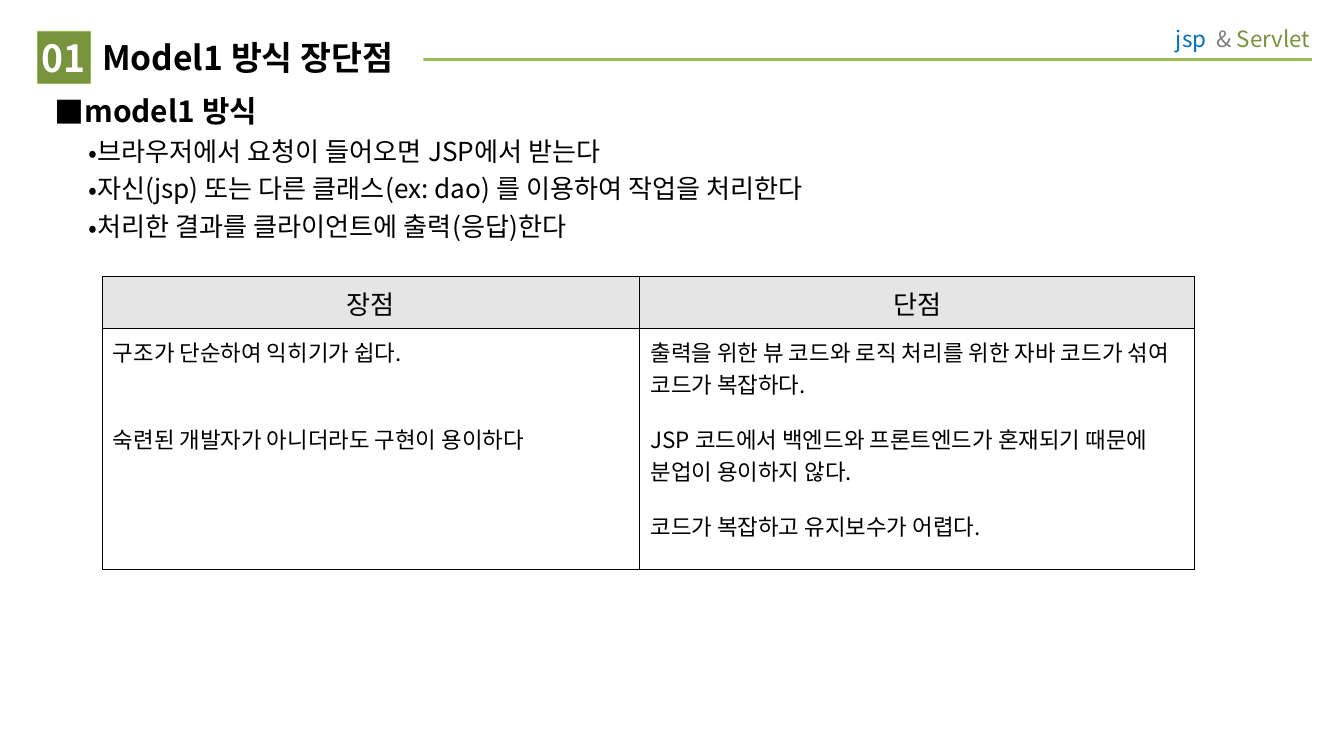
import pptx
import pptx.util
import pptx.dml.color
import pptx.enum.shapes
import pptx.enum.text
import pptx.oxml
import pptx.oxml.ns
from lxml import etree

Inches, Pt = pptx.util.Inches, pptx.util.Pt
RGB = pptx.dml.color.RGBColor
ALIGN = pptx.enum.text.PP_ALIGN
ANCHOR = pptx.enum.text.MSO_ANCHOR
qn = pptx.oxml.ns.qn

# Content; \v is a line break
TITLE = "Model1 방식 장단점"
NUMBER = "01"
HEAD = "model1 방식"
POINTS = [
    "브라우저에서 요청이 들어오면 JSP에서 받는다",
    "자신(jsp) 또는 다른 클래스(ex: dao) 를 이용하여 작업을 처리한다",
    "처리한 결과를 클라이언트에 출력(응답)한다",
]
COLS = [
    ("장점", 4, ["구조가 단순하여 익히기가 쉽다.\v",
               "숙련된 개발자가 아니더라도 구현이 용이하다"]),
    ("단점", 4.13, ["출력을 위한 뷰 코드와 로직 처리를 위한 자바 코드가 섞여 코드가 복잡하다.",
                  "JSP 코드에서 백엔드와 프론트엔드가 혼재되기 때문에 분업이 용이하지 않다.",
                  "코드가 복잡하고 유지보수가 어렵다."]),
]
ROWS = [0.3, 1.79]

# Look
FONT = "Noto Sans CJK KR"
BLACK, WHITE = RGB(0, 0, 0), RGB(255, 255, 255)
GREEN, LIME = RGB(0x77, 0x93, 0x3C), RGB(0x9B, 0xBB, 0x59)
BLUE, GRAY, PALE = RGB(0, 0x70, 0xC0), RGB(0x7F, 0x7F, 0x7F), RGB(0xE5, 0xE5, 0xE5)
TAG = [("jsp  ", BLUE), ("& ", GRAY), ("Servlet", GREEN)]


def style(run, size, color=BLACK, bold=False):
    font = run.font
    font.name, font.size, font.bold = FONT, Pt(size), bold
    font.color.rgb = color
    props = run._r.get_or_add_rPr()
    props.set("kern", "0")
    etree.SubElement(props, qn("a:ea"), typeface=FONT)


def write(para, text, size, color=BLACK, bold=False, align=ALIGN.LEFT):
    para.text = text
    para.alignment = align
    style(para.runs[0], size, color, bold)
    # A break and the empty line after it need the size too
    for node in para._p.findall(qn("a:br")):
        for owner, name in ((node, "a:rPr"), (para._p, "a:endParaRPr")):
            props = etree.SubElement(owner, qn(name), sz=str(size * 100))
            for script in ("a:latin", "a:ea"):
                etree.SubElement(props, qn(script), typeface=FONT)


def setup(frame, left, top, right, bottom, anchor=ANCHOR.TOP):
    frame.word_wrap = True
    frame.auto_size = pptx.enum.text.MSO_AUTO_SIZE.NONE
    frame.vertical_anchor = anchor
    frame.margin_left, frame.margin_top = Inches(left), Inches(top)
    frame.margin_right, frame.margin_bottom = Inches(right), Inches(bottom)


def bullet(para, char, left, hang):
    props = para._p.get_or_add_pPr()
    props.set("marL", str(Inches(left)))
    props.set("indent", str(-Inches(hang)))
    etree.SubElement(props, qn("a:buFont"), typeface=FONT)
    etree.SubElement(props, qn("a:buChar"), char=char)


def border(cell, sides):
    props = cell._tc.get_or_add_tcPr()
    for name, width in sides:
        line = etree.SubElement(props, qn("a:" + name), w=str(Pt(width)))
        fill = etree.SubElement(line, qn("a:solidFill"))
        etree.SubElement(fill, qn("a:srgbClr"), val=str(BLACK))


deck = pptx.Presentation()
deck.slide_width, deck.slide_height = Inches(10), Inches(10 * 9 / 16)
slide = deck.slides.add_slide(deck.slide_layouts[5])
shapes = slide.shapes

# Header rule, kept behind the title
rule = shapes.add_connector(pptx.enum.shapes.MSO_CONNECTOR.STRAIGHT,
                            Inches(9.76), Inches(0.44), Inches(0.71), Inches(0.44))
rule.line.color.rgb, rule.line.width = LIME, Pt(1.5)
etree.SubElement(rule._element.spPr, qn("a:effectLst"))
title = shapes.title
title._element.addprevious(rule._element)

# Title
title.left, title.top = Inches(0.68), Inches(0.23)
title.width, title.height = Inches(2.47), Inches(0.39)
title.fill.solid()
title.fill.fore_color.rgb = WHITE
setup(title.text_frame, 0.08, 0.04, 0, 0.04, ANCHOR.MIDDLE)
write(title.text_frame.paragraphs[0], TITLE, 18, bold=True)

# Corner tag
tag = shapes.add_textbox(Inches(8.31), Inches(0.11), Inches(1.54), Inches(0.36))
setup(tag.text_frame, 0.1, 0.08, 0.1, 0.08)
para = tag.text_frame.paragraphs[0]
para.alignment = ALIGN.RIGHT
for text, color in TAG:
    run = para.add_run()
    run.text = text
    style(run, 12, color)

# Number badge
badge = shapes.add_shape(pptx.enum.shapes.MSO_SHAPE.RECTANGLE,
                         Inches(0.28), Inches(0.23), Inches(0.39), Inches(0.39))
badge.shadow.inherit = False
badge.fill.solid()
badge.fill.fore_color.rgb = GREEN
badge.line.color.rgb, badge.line.width = LIME, Pt(0.25)
setup(badge.text_frame, 0, 0, 0, 0, ANCHOR.MIDDLE)
write(badge.text_frame.paragraphs[0], NUMBER, 20, WHITE, True, ALIGN.CENTER)

# Bulleted text
body = shapes.add_textbox(Inches(0.31), Inches(0.64), Inches(8.74), Inches(1.27))
frame = body.text_frame
setup(frame, 0.1, 0.05, 0.1, 0.05)
write(frame.paragraphs[0], HEAD, 16, bold=True)
frame.paragraphs[0].space_before = Pt(4)
bullet(frame.paragraphs[0], "■", 0.2, 0.2)
for text in POINTS:
    para = frame.add_paragraph()
    write(para, text, 14)
    para.level = 1
    para.space_before = Pt(3.5)
    bullet(para, "•", 0.29, 0.04)

# Comparison table: outer borders are thicker than inner ones
OUTER, INNER = 0.45, 0.34
wide = sum(width for _, width, _ in COLS)
table = shapes.add_table(len(ROWS), len(COLS), Inches(0.76), Inches(2.06),
                         Inches(wide), Inches(sum(ROWS))).table
table.first_row = table.horz_banding = False
for row, height in zip(table.rows, ROWS):
    row.height = Inches(height)
for c, (head, width, items) in enumerate(COLS):
    table.columns[c].width = Inches(width)
    for r in range(len(ROWS)):
        edges = [("lnL", c == 0), ("lnR", c == len(COLS) - 1),
                 ("lnT", r == 0), ("lnB", r == len(ROWS) - 1)]
        border(table.cell(r, c), [(n, OUTER if out else INNER) for n, out in edges])
    top, cell = table.cell(0, c), table.cell(1, c)
    top.fill.solid()
    top.fill.fore_color.rgb = PALE
    top.vertical_anchor = ANCHOR.MIDDLE
    write(top.text_frame.paragraphs[0], head, 14, align=ALIGN.CENTER)
    cell.fill.background()
    cell.margin_left = cell.margin_right = Inches(0.08)
    for i, text in enumerate(items):
        frame = cell.text_frame
        para = frame.add_paragraph() if i else frame.paragraphs[0]
        write(para, text, 12)
        para.space_before = Pt(12)

deck.save("out.pptx")
